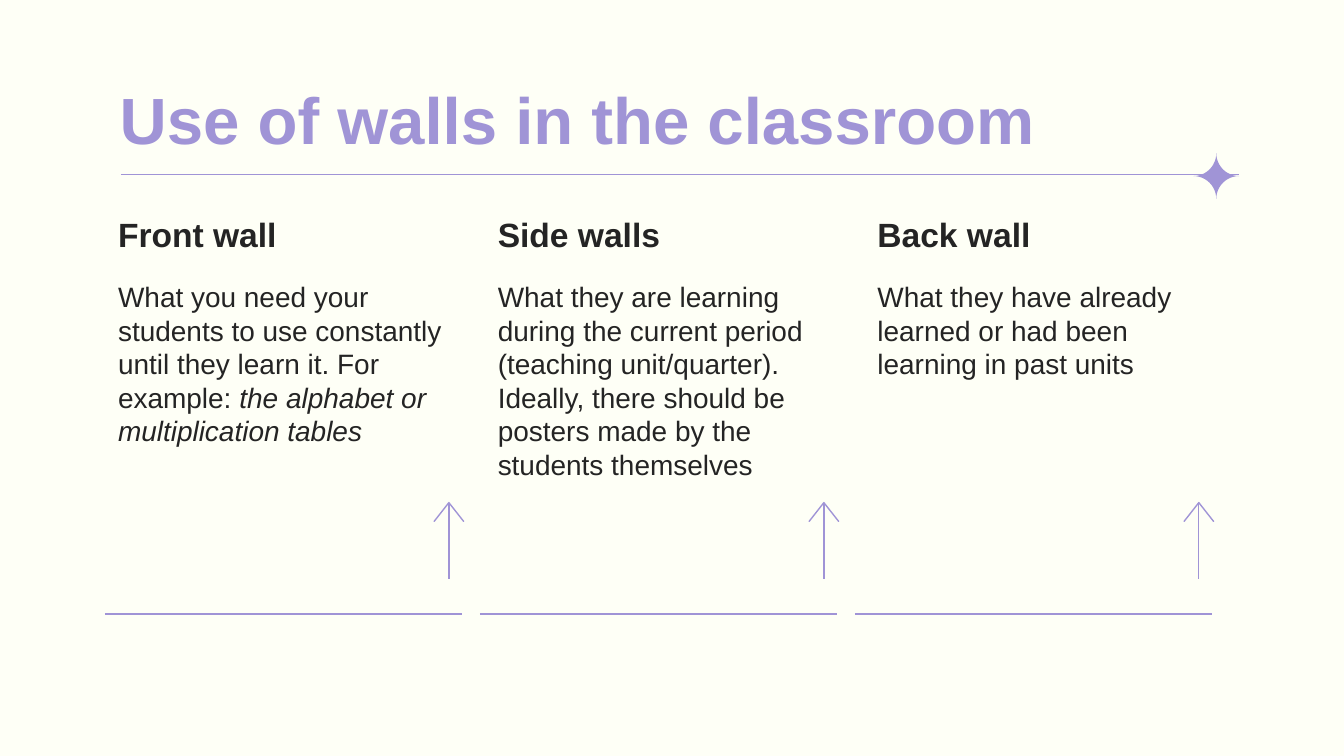
from lxml.etree import SubElement
from pptx import Presentation
from pptx.dml.color import RGBColor
from pptx.enum.shapes import MSO_CONNECTOR, MSO_SHAPE
from pptx.enum.text import MSO_ANCHOR, MSO_AUTO_SIZE, PP_ALIGN
from pptx.oxml.ns import qn
from pptx.util import Inches, Pt

TITLE = "Use of walls in the classroom"
WALLS = [
    ("Front wall", [
        ("What you need your students to use constantly until they learn it. For example: ", False),
        ("the alphabet or multiplication tables", True),
    ]),
    ("Side walls", [
        ("What they are learning during the current period (teaching unit/quarter). "
         "Ideally, there should be posters made by the students themselves", False),
    ]),
    ("Back wall", [
        ("What they have already learned or had been learning in past units", False),
    ]),
]
COLORS = {"background": "FEFFF6", "accent": "A094D6", "text": "242424"}
FONT = "Arial"
LEFT, TEXT_RIGHT, TEXT_WIDTH = 0.78, 9.22, 2.79
TEXT_STEP = (TEXT_RIGHT - LEFT - TEXT_WIDTH) / 2
RULE_STEP, RULE_WIDTH, RULE_Y = 2.79, 2.66, 4.57
ARROW_X, ARROW_TOP, ARROW_BOTTOM = 3.34, 3.74, 4.31
HEAD_LENGTH, HEAD_WIDTH = 0.14, 0.22


def rgb(name):
    return RGBColor.from_string(COLORS[name])


def write(s, runs, size, color="text", bold=False, anchor=MSO_ANCHOR.TOP):
    tf = s.text_frame
    tf.word_wrap = True
    tf.auto_size = MSO_AUTO_SIZE.NONE
    tf.vertical_anchor = anchor
    tf.margin_left = tf.margin_right = Inches(0.1)
    tf.margin_top = tf.margin_bottom = Inches(0.1)
    p = tf.paragraphs[0]
    p.alignment = PP_ALIGN.LEFT
    p.line_spacing = 1.0
    p.space_before = Pt(0)
    for text, italic in runs:
        r = p.add_run()
        r.text = text
        r.font.name = FONT
        r.font.size = Pt(size)
        r.font.bold = bold
        r.font.italic = italic
        r.font.color.rgb = rgb(color)


def box(shapes, left, top, width, height):
    return shapes.add_textbox(Inches(left), Inches(top), Inches(width), Inches(height))


def line(shapes, x1, y1, x2, y2):
    c = shapes.add_connector(MSO_CONNECTOR.STRAIGHT, Inches(x1), Inches(y1),
                             Inches(x2), Inches(y2))
    c.line.color.rgb = rgb("accent")
    c.line.width = Pt(0.75)
    SubElement(c._element.spPr, qn("a:effectLst"))


def preset(shapes, kind, left, top, width, height, adjustment):
    s = shapes.add_shape(kind, Inches(left), Inches(top), Inches(width), Inches(height))
    s.adjustments[0] = adjustment
    s.shadow.inherit = False
    return s


def arrow(slide, x):
    shapes = slide.shapes.add_group_shape().shapes
    middle = ARROW_TOP + HEAD_LENGTH / 2
    head = preset(shapes, MSO_SHAPE.CHEVRON, x - HEAD_LENGTH / 2,
                  middle - HEAD_WIDTH / 2, HEAD_LENGTH, HEAD_WIDTH, 2)
    head.rotation = 270
    head.fill.background()
    head.line.color.rgb = rgb("accent")
    head.line.width = Pt(0.75)
    line(shapes, x, ARROW_TOP, x, ARROW_BOTTOM)


def main():
    prs = Presentation()
    prs.slide_width = Inches(10)
    prs.slide_height = prs.slide_width * 9 // 16
    slide = prs.slides.add_slide(prs.slide_layouts[5])
    slide.background.fill.solid()
    slide.background.fill.fore_color.rgb = rgb("background")

    title = slide.shapes.title
    title.left, title.top = Inches(0.79), Inches(0.49)
    title.width, title.height = Inches(8.43), Inches(0.63)
    write(title, [(TITLE, False)], 35, color="accent", bold=True)

    line(slide.shapes, 0.9, 1.3, 9.22, 1.3)
    star = preset(slide.shapes, MSO_SHAPE.PLAQUE, 8.88, 1.14, 0.34, 0.34, 0.5)
    star.fill.solid()
    star.fill.fore_color.rgb = rgb("accent")
    star.line.fill.background()

    for i, (heading, runs) in enumerate(WALLS):
        x = LEFT + i * TEXT_STEP
        write(box(slide.shapes, x, 1.56, TEXT_WIDTH, 0.43), [(heading, False)], 18,
              bold=True, anchor=MSO_ANCHOR.BOTTOM)
        write(box(slide.shapes, x, 1.98, TEXT_WIDTH, 2.02), runs, 15)
        arrow(slide, ARROW_X + i * RULE_STEP)
        rule_x = LEFT + i * RULE_STEP
        line(slide.shapes, rule_x, RULE_Y, rule_x + RULE_WIDTH, RULE_Y)

    prs.save("out.pptx")


if __name__ == "__main__":
    main()
